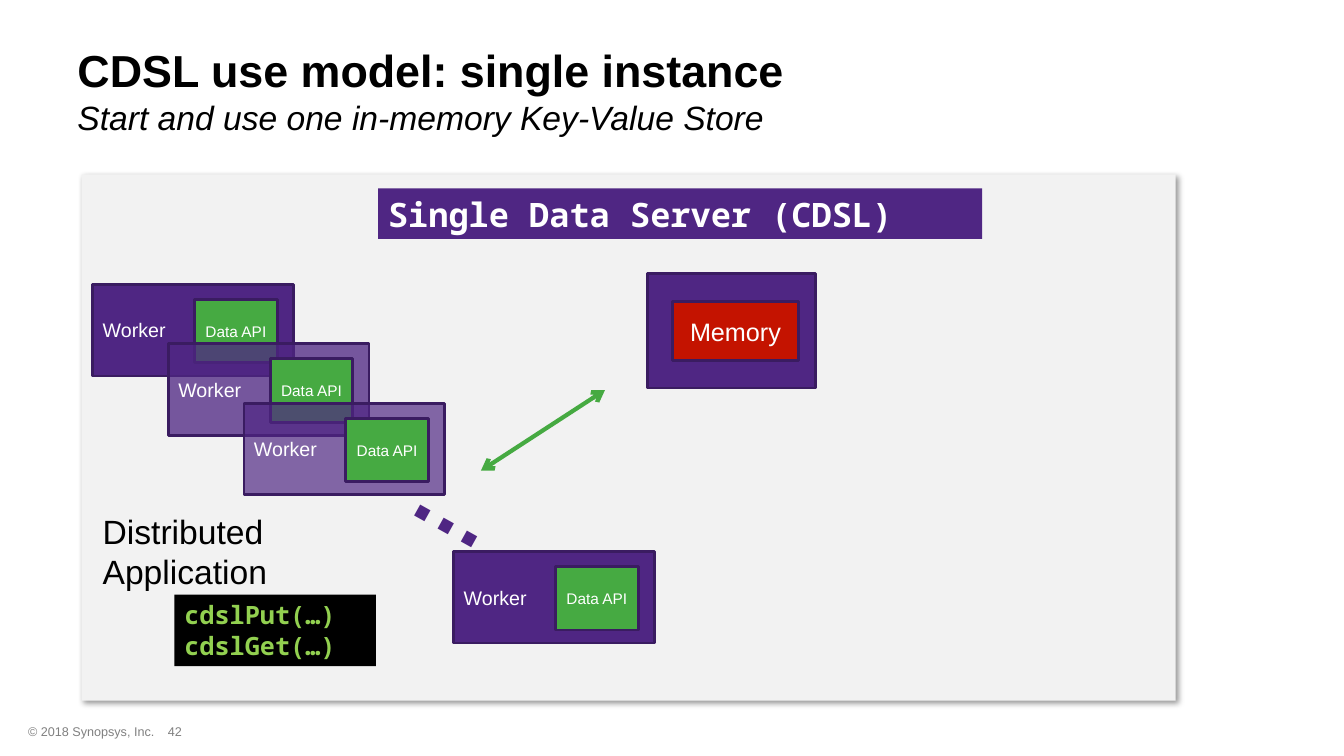
from dataclasses import dataclass
from typing import Optional

from lxml import etree
from pptx import Presentation
from pptx import util as u
from pptx.dml.color import RGBColor
from pptx.enum import shapes, text
from pptx.oxml import ns

PURPLE = RGBColor(0x4F, 0x26, 0x83)
DARK_PURPLE = RGBColor(0x3A, 0x1C, 0x61)
GREEN = RGBColor(0x46, 0xAA, 0x42)
LIME = RGBColor(0x92, 0xD0, 0x50)
RED = RGBColor(0xC4, 0x13, 0x00)
LIGHT_GRAY = RGBColor(0xF2, 0xF2, 0xF2)
GRAY = RGBColor(0x80, 0x80, 0x80)
BLACK = RGBColor(0, 0, 0)
WHITE = RGBColor(0xFF, 0xFF, 0xFF)

LEFT, CENTER = text.PP_ALIGN.LEFT, text.PP_ALIGN.CENTER
TOP, MIDDLE = text.MSO_ANCHOR.TOP, text.MSO_ANCHOR.MIDDLE
MONO = "Noto Sans Mono"


@dataclass
class Box:
    left: float
    top: float
    width: float
    height: float
    lines: tuple[str, ...] = ()
    size: float = 18
    color: RGBColor = WHITE
    font: str = "Arial"
    bold: bool = False
    italic: bool = False
    align: text.PP_ALIGN = LEFT
    anchor: text.MSO_ANCHOR = TOP
    fill: Optional[RGBColor] = None
    line: Optional[RGBColor] = None
    opacity: int = 100
    rotation: float = 0


@dataclass
class Worker:
    left: float
    top: float
    opacity: int = 100


def add_xml(parent, tag: str, **attributes: object):
    values = {name: str(value) for name, value in attributes.items()}
    return etree.SubElement(parent, ns.qn(tag), values)


def write_text(shape, box: Box) -> None:
    frame = shape.text_frame
    frame.word_wrap = True
    frame.vertical_anchor = box.anchor
    for index, line in enumerate(box.lines):
        paragraph = frame.add_paragraph() if index else frame.paragraphs[0]
        paragraph.text = line
        paragraph.alignment = box.align
        font = paragraph.font
        font.name, font.size = box.font, u.Pt(box.size)
        font.bold, font.italic = box.bold, box.italic
        font.color.rgb = box.color


def draw_box(slide, box: Box):
    place = [u.Inches(v) for v in (box.left, box.top, box.width, box.height)]
    if box.fill is None:
        shape = slide.shapes.add_textbox(*place)
    else:
        shape = slide.shapes.add_shape(shapes.MSO_SHAPE.RECTANGLE, *place)
        shape.shadow.inherit = False
        shape.fill.solid()
        shape.fill.fore_color.rgb = box.fill
        if box.opacity < 100:
            color = shape.fill._xPr.find(".//" + ns.qn("a:srgbClr"))
            add_xml(color, "a:alpha", val=box.opacity * 1000)
        if box.line is None:
            shape.line.fill.background()
        else:
            shape.line.color.rgb = box.line
            shape.line.width = u.Pt(2)
    shape.rotation = box.rotation
    write_text(shape, box)
    return shape


def draw_panel(slide) -> None:
    panel = draw_box(slide, Box(0.81, 1.73, 10.85, 5.22, fill=LIGHT_GRAY))
    effects = panel._element.spPr.find(ns.qn("a:effectLst"))
    shadow = add_xml(effects, "a:outerShdw", blurRad=u.Pt(4), dist=u.Pt(3),
                     dir=45 * 60000, algn="tl", rotWithShape=0)
    color = add_xml(shadow, "a:srgbClr", val=BLACK)
    add_xml(color, "a:alpha", val=40000)


def draw_worker(slide, worker: Worker) -> None:
    draw_box(slide, Box(worker.left, worker.top, 1.99, 0.91, ("Worker",), 14,
                        anchor=MIDDLE, fill=PURPLE, line=DARK_PURPLE,
                        opacity=worker.opacity))
    draw_box(slide, Box(worker.left + 1.01, worker.top + 0.15, 0.82, 0.63,
                        ("Data API",), 11, align=CENTER, anchor=MIDDLE,
                        fill=GREEN, line=DARK_PURPLE))


def draw_arrow(slide) -> None:
    ends = [u.Inches(v) for v in (4.77, 4.67, 6, 3.87)]
    arrow = slide.shapes.add_connector(shapes.MSO_CONNECTOR.STRAIGHT, *ends)
    arrow.line.color.rgb = GREEN
    arrow.line.width = u.Pt(3)
    outline = arrow.line._get_or_add_ln()
    for tag in ("a:headEnd", "a:tailEnd"):
        add_xml(outline, tag, type="arrow")
    add_xml(arrow._element.spPr, "a:effectLst")


HEADINGS = (
    Box(0.18, 7.13, 4.11, 0.25, ("© 2018 Synopsys, Inc.",), 9, GRAY),
    Box(1.27, 7.13, 0.93, 0.25, ("42",), 9, GRAY, align=CENTER),
    Box(0.67, 0.07, 12.67, 1.25, ("CDSL use model: single instance",), 32,
        BLACK, bold=True, anchor=MIDDLE),
    Box(0.67, 0.91, 7.99, 0.5,
        ("Start and use one in-memory Key-Value Store",), 24, BLACK,
        italic=True),
)
MEMORY = (
    Box(6.42, 2.71, 1.67, 1.14, fill=PURPLE, line=DARK_PURPLE),
    Box(6.67, 2.99, 1.25, 0.59, ("Memory",), align=CENTER, anchor=MIDDLE,
        fill=RED, line=DARK_PURPLE),
)
STACKED_WORKERS = [Worker(0.92 + 0.75 * step, 2.82 + 0.59 * step, opacity)
                   for step, opacity in enumerate((100, 76, 69))]
ELLIPSIS = Box(4.04, 4.46, 1.11, 1.11, ("…",), 60, PURPLE, bold=True,
               rotation=29.2)
LAST_WORKER = Worker(4.5, 5.47)
APPLICATION = Box(0.92, 5.02, 2.24, 0.91, ("Distributed Application",), 24,
                  BLACK)
CODE_BOXES = (
    Box(3.75, 1.87, 5.99, 0.5, ("Single Data Server (CDSL)",), 24, font=MONO,
        bold=True, fill=PURPLE),
    Box(1.73, 5.9, 2, 0.71, ("cdslPut(…)", "cdslGet(…)"), 18, LIME, MONO,
        bold=True, fill=BLACK),
)


def main() -> None:
    presentation = Presentation()
    presentation.slide_width = u.Inches(13.33)
    presentation.slide_height = u.Inches(7.5)
    slide = presentation.slides.add_slide(presentation.slide_layouts[6])

    # Background panel, titles and footer
    draw_panel(slide)
    for box in HEADINGS:
        draw_box(slide, box)

    # Data server memory
    for box in MEMORY:
        draw_box(slide, box)

    # Workers of the distributed application
    for worker in STACKED_WORKERS:
        draw_worker(slide, worker)
    draw_box(slide, ELLIPSIS)
    draw_worker(slide, LAST_WORKER)
    draw_box(slide, APPLICATION)

    # Link between workers and memory, then banner and calls
    draw_arrow(slide)
    for box in CODE_BOXES:
        draw_box(slide, box)

    presentation.save("out.pptx")


if __name__ == "__main__":
    main()
